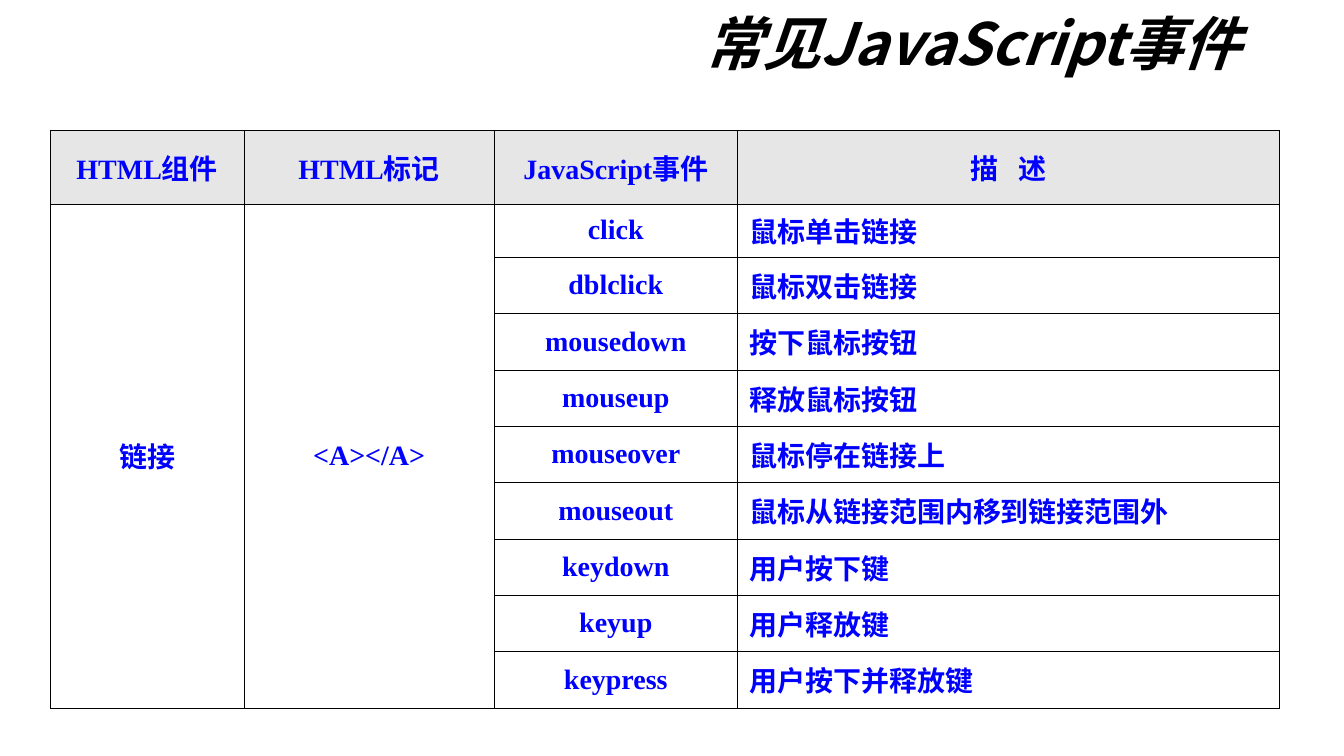
from lxml import etree
from pptx import Presentation
from pptx.dml.color import RGBColor
from pptx.enum.text import MSO_ANCHOR, PP_ALIGN
from pptx.oxml.ns import qn
from pptx.util import Pt

BLACK = RGBColor(0, 0, 0)
BLUE = RGBColor(0, 0, 255)
GREY = RGBColor(0xE6, 0xE6, 0xE6)
CJK_FONT = "Noto Sans CJK JP"

TITLE_FORMAT = {"size": Pt(83), "name": CJK_FONT, "bold": True, "italic": True}
CELL_FORMAT = {"size": Pt(40), "name": "Times New Roman", "bold": True}
TITLE_FRAME = {"margin_left": Pt(14.4), "margin_right": Pt(14.4),
               "margin_top": Pt(7.2), "margin_bottom": Pt(7.2),
               "vertical_anchor": MSO_ANCHOR.MIDDLE, "word_wrap": True}
CELL_FRAME = {"margin_left": Pt(17.3), "margin_right": Pt(17.3),
              "margin_top": Pt(3.6), "margin_bottom": Pt(3.6),
              "vertical_anchor": MSO_ANCHOR.MIDDLE}

COLUMN_WIDTHS = [276.5, 357.8, 347, 774.7]
ROW_HEIGHTS = [105, 76.3] + [80.5] * 8
SPACED_HEADER = "描 述"
HEADERS = ["HTML组件", "HTML标记", "JavaScript事件", SPACED_HEADER]
COMPONENT, TAG = "链接", "<A></A>"
EVENTS = [
    ("click", "鼠标单击链接"),
    ("dblclick", "鼠标双击链接"),
    ("mousedown", "按下鼠标按钮"),
    ("mouseup", "释放鼠标按钮"),
    ("mouseover", "鼠标停在链接上"),
    ("mouseout", "鼠标从链接范围内移到链接范围外"),
    ("keydown", "用户按下键"),
    ("keyup", "用户释放键"),
    ("keypress", "用户按下并释放键"),
]


def apply(target, values):
    for name, value in values.items():
        setattr(target, name, value)


def write(frame, text, font_format, color, align):
    para = frame.paragraphs[0]
    para.alignment = align
    span = para.add_run()
    span.text = text
    apply(span.font, font_format)
    span.font.color.rgb = color
    east_asian = etree.SubElement(span.font._element, qn("a:ea"))
    east_asian.set("typeface", CJK_FONT)
    return para, span


def add_borders(cell):
    properties = cell._tc.get_or_add_tcPr()
    for index, side in enumerate(("lnL", "lnR", "lnT", "lnB")):
        line = etree.Element(qn(f"a:{side}"), w=str(int(Pt(0.45))))
        fill = etree.SubElement(line, qn("a:solidFill"))
        etree.SubElement(fill, qn("a:srgbClr"), val=str(BLACK))
        properties.insert(index, line)


def add_title(page, left, top, width, height):
    box = page.shapes.add_textbox(Pt(left), Pt(top), Pt(width), Pt(height))
    apply(box.text_frame, TITLE_FRAME)
    para, _ = write(box.text_frame, "常见JavaScript事件", TITLE_FORMAT,
                    BLACK, PP_ALIGN.RIGHT)
    para.line_spacing = 0.9


def add_event_table(page, left, top, width, height):
    rows = [HEADERS] + [[COMPONENT, TAG, *event] if index == 0 else ["", "", *event]
                        for index, event in enumerate(EVENTS)]
    table = page.shapes.add_table(len(rows), len(HEADERS), Pt(left), Pt(top),
                                  Pt(width), Pt(height)).table
    # Column and row sizes share out the box
    for column, share in zip(table.columns, COLUMN_WIDTHS):
        column.width = Pt(width * share / sum(COLUMN_WIDTHS))
    for row, share in zip(table.rows, ROW_HEIGHTS):
        row.height = Pt(height * share / sum(ROW_HEIGHTS))

    # Cells: grey header, descriptions to the left, the rest centred
    for r, texts in enumerate(rows):
        for c, text in enumerate(texts):
            cell = table.cell(r, c)
            apply(cell, CELL_FRAME)
            if r == 0:
                cell.fill.solid()
                cell.fill.fore_color.rgb = GREY
            else:
                cell.fill.background()
            add_borders(cell)
            if text:
                align = PP_ALIGN.LEFT if r and c == 3 else PP_ALIGN.CENTER
                _, span = write(cell.text_frame, text, CELL_FORMAT, BLUE, align)
                if text == SPACED_HEADER:
                    span.font._element.set("spc", "1000")

    # The component and its tag cover all events
    for c in (0, 1):
        table.cell(1, c).merge(table.cell(len(EVENTS), c))


def main():
    deck = Presentation()
    deck.slide_width, deck.slide_height = Pt(1920.24), Pt(1080)
    page = deck.slides.add_slide(deck.slide_layouts[6])
    add_title(page, 264, 0, 1523.5, 132)
    add_event_table(page, 72, 186, 1756, 825.3)
    deck.save("out.pptx")


if __name__ == "__main__":
    main()
